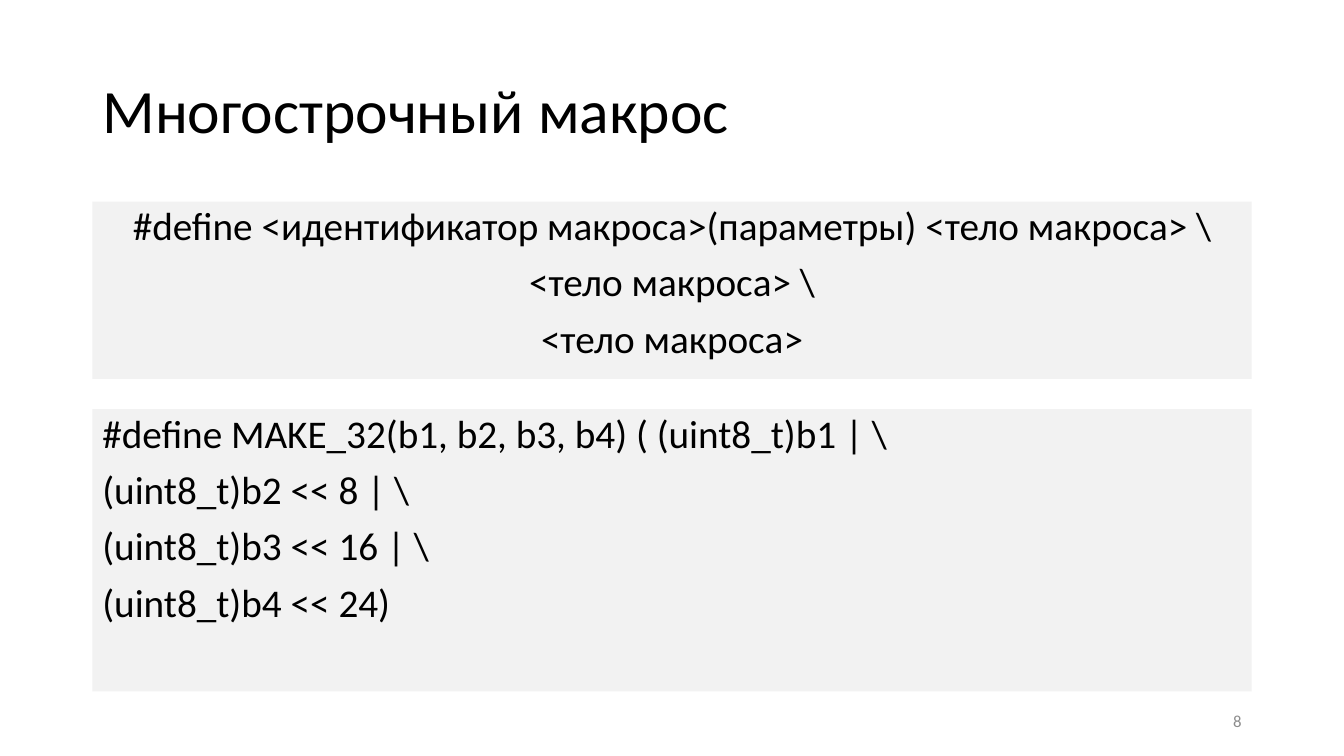
from pptx import Presentation
from pptx import util as u
from pptx.dml.color import RGBColor
from pptx.enum import shapes, text

deck = Presentation()
deck.slide_width, deck.slide_height = u.Inches(13.33), u.Inches(7.5)

# Grid: 160 columns by 150 rows
COL, ROW = deck.slide_width / 160, deck.slide_height / 150
MARGIN, CONTENT = 11, 138
LEFT, CENTER, RIGHT = text.PP_ALIGN.LEFT, text.PP_ALIGN.CENTER, text.PP_ALIGN.RIGHT
TOP, MIDDLE = text.MSO_ANCHOR.TOP, text.MSO_ANCHOR.MIDDLE


def color(hex_code):
    return RGBColor.from_string(hex_code)


def place(box):
    left, top, width, height = box
    return [round(n) for n in (left * COL, top * ROW, width * COL, height * ROW)]


def write(frame, lines, size, align=LEFT, anchor=TOP, ink="000000", spacing=0.9, before=0):
    frame.word_wrap = True
    frame.vertical_anchor = anchor
    for i, line in enumerate(lines):
        paragraph = frame.add_paragraph() if i else frame.paragraphs[0]
        paragraph.alignment = align
        paragraph.line_spacing = spacing
        paragraph.space_before = u.Pt(before)
        run = paragraph.add_run()
        run.text = line
        run.font.name, run.font.size = "Calibri", u.Pt(size)
        run.font.color.rgb = color(ink)


def add_label(slide, box, words, size, **style):
    label = slide.shapes.add_textbox(*place(box))
    write(label.text_frame, [words], size, anchor=MIDDLE, **style)


def add_code_panel(slide, box, lines, align):
    panel = slide.shapes.add_shape(shapes.MSO_SHAPE.RECTANGLE, *place(box))
    panel.shadow.inherit = False
    panel.fill.solid()
    panel.fill.fore_color.rgb = color("F2F2F2")
    panel.line.fill.background()
    write(panel.text_frame, lines, 28, align=align, before=10)


def add_macro_slide(title, syntax, example, number):
    slide = deck.slides.add_slide(deck.slide_layouts[6])
    # Title
    add_label(slide, (MARGIN, 8, CONTENT, 29), title, 44)
    # General syntax, then an example
    add_code_panel(slide, (MARGIN, 40, CONTENT, 35.2), syntax, CENTER)
    add_code_panel(slide, (MARGIN, 81.2, CONTENT, 56), example, LEFT)
    # Slide number, flush with the right margin
    add_label(slide, (MARGIN + CONTENT - 36, 139, 36, 8), number, 12,
              align=RIGHT, ink="8C8C8C", spacing=1.0)


add_macro_slide(
    "Многострочный макрос",
    ["#define <идентификатор макроса>(параметры) <тело макроса> \\",
     "<тело макроса> \\",
     "<тело макроса>"],
    ["#define MAKE_32(b1, b2, b3, b4) ( (uint8_t)b1 | \\",
     "(uint8_t)b2 << 8 | \\",
     "(uint8_t)b3 << 16 | \\",
     "(uint8_t)b4 << 24)"],
    "8",
)
deck.save("out.pptx")
